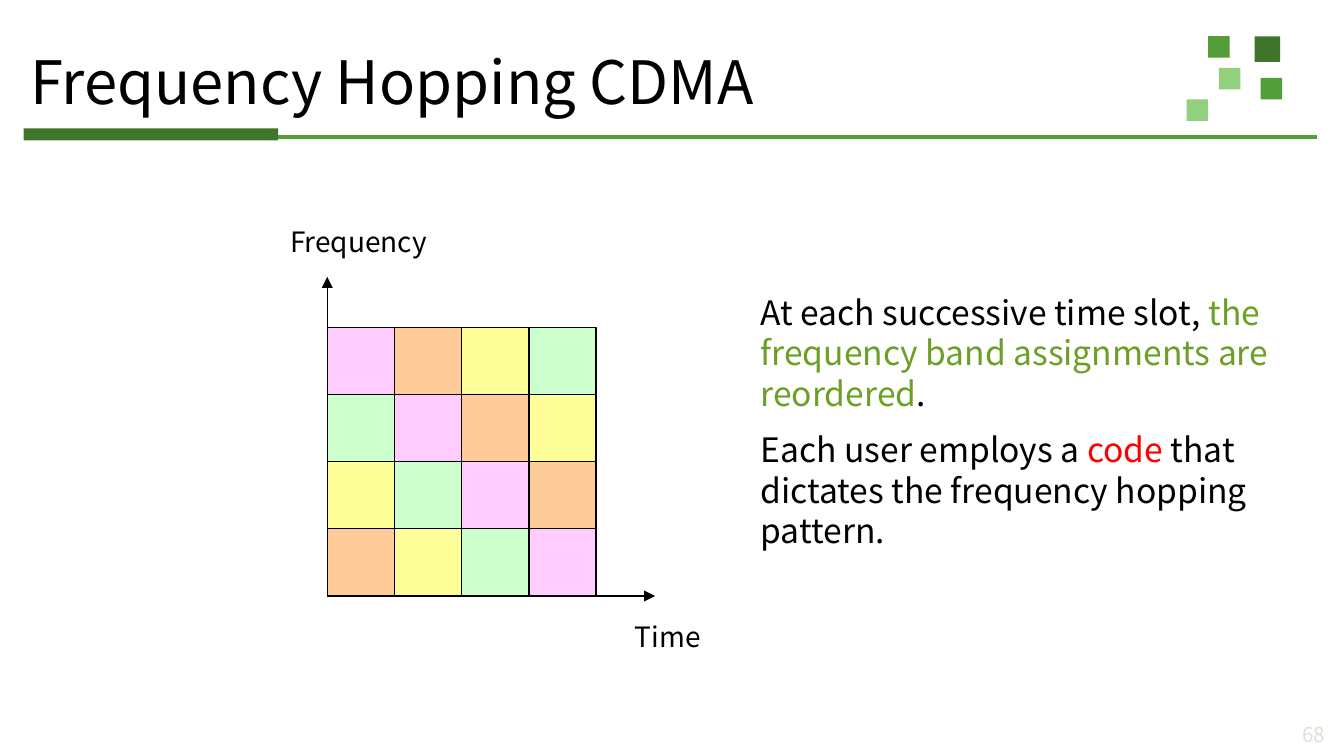
from dataclasses import dataclass

from lxml.etree import SubElement
from pptx import Presentation
from pptx.dml.color import RGBColor as Rgb
from pptx.enum.shapes import MSO_CONNECTOR as Conn, MSO_SHAPE as Shape
from pptx.enum.text import MSO_ANCHOR as Anchor, MSO_AUTO_SIZE as Auto, PP_ALIGN as Align
from pptx.oxml.ns import qn
from pptx.util import Pt

PX = 4572  # EMU, 200 px to the inch


@dataclass(frozen=True)
class Theme:
    font: str = "Noto Sans CJK SC"
    ink: str = "000000"
    dark: str = "3F762B"
    mid: str = "549E39"
    pale: str = "93D07D"
    leaf: str = "6B9F25"
    red: str = "FF0000"
    faint: str = "E3DED1"
    users: tuple = ("FFCCFF", "FFCC99", "FFFF99", "CCFFCC")
    title: int = 32
    body: int = 18
    label: int = 15
    small: int = 11


class Deck:
    def __init__(self, theme, wide, high):
        self.theme = theme
        self.file = Presentation()
        self.file.slide_width, self.file.slide_height = wide * PX, high * PX
        self.slide = self.file.slides.add_slide(self.file.slide_layouts[1])
        self.shapes = self.slide.shapes

    def place(self, item, x, y, w, h):
        item.left, item.top, item.width, item.height = (n * PX for n in (x, y, w, h))

    def style(self, run, size, color):
        run.font.name, run.font.size = self.theme.font, Pt(size)
        run.font.color.rgb = Rgb.from_string(color)

    def rect(self, x, y, w, h, fill, line=None):
        box = self.shapes.add_shape(Shape.RECTANGLE, *(n * PX for n in (x, y, w, h)))
        box.shadow.inherit = False
        box.fill.solid()
        box.fill.fore_color.rgb = Rgb.from_string(fill)
        if line:
            box.line.color.rgb = Rgb.from_string(line)
            box.line.width = Pt(0.75)
        else:
            box.line.fill.background()

    def line(self, x, y, x2, y2, color, width, arrow=False):
        link = self.shapes.add_connector(Conn.STRAIGHT, *(n * PX for n in (x, y, x2, y2)))
        link.line.color.rgb = Rgb.from_string(color)
        link.line.width = Pt(width)
        if arrow:
            SubElement(link.line._get_or_add_ln(), qn("a:tailEnd"), type="triangle")
        SubElement(link._element.spPr, qn("a:effectLst"))

    def title(self, text, *at):
        item = self.shapes.title
        self.place(item, *at)
        frame = item.text_frame
        frame.text = text
        frame.auto_size, frame.vertical_anchor = Auto.NONE, Anchor.MIDDLE
        frame.margin_left = frame.margin_right = 15 * PX
        frame.margin_top = frame.margin_bottom = 8 * PX
        para = frame.paragraphs[0]
        para.alignment, para.line_spacing = Align.LEFT, 0.9
        self.style(para.runs[0], self.theme.title, self.theme.ink)

    def body(self, paras, *at):
        """Fill the body placeholder; each paragraph is a list of (text, color)."""
        item = self.slide.placeholders[1]
        self.place(item, *at)
        frame = item.text_frame
        frame.auto_size = Auto.NONE
        for i, parts in enumerate(paras):
            para = frame.add_paragraph() if i else frame.paragraphs[0]
            props = para._p.get_or_add_pPr()
            props.set("marL", "0")
            props.set("indent", "0")
            SubElement(props, qn("a:buNone"))
            para.line_spacing = Pt(21.7)
            para.space_before = Pt(8.5 if i else 0)
            for text, color in parts:
                run = para.add_run()
                run.text = text
                self.style(run, self.theme.body, color)

    def label(self, text, x, y, w, h, size, color, align=Align.LEFT):
        frame = self.shapes.add_textbox(*(n * PX for n in (x, y, w, h))).text_frame
        frame.word_wrap = True
        frame.text = text
        para = frame.paragraphs[0]
        para.alignment, para.line_spacing = align, Pt(round(size * 1.2))
        self.style(para.runs[0], size, color)


def main():
    look = Theme()
    deck = Deck(look, 2000, 1125)

    for x, y, side, fill in (
        (1867, 54, 38, look.dark),
        (1798, 54, 32, look.mid),
        (1876, 116, 32, look.mid),
        (1814, 101, 32, look.pale),
        (1766, 148, 32, look.pale),
    ):
        deck.rect(x, y, side, side, fill)
    deck.rect(35, 191, 379, 18, look.dark)
    deck.line(414, 204, 1960, 204, look.mid, 2)
    deck.title("Frequency Hopping CDMA", 30, 56, 1926, 142)

    left, top, cell = 487, 487, 100
    count = len(look.users)
    base = top + count * cell
    deck.line(left, base, left, 412, look.ink, 0.75, arrow=True)
    deck.line(left, base, 975, base, look.ink, 0.75, arrow=True)
    for row in range(count):
        for col in range(count):
            user = look.users[(col - row) % count]
            deck.rect(left + col * cell, top + row * cell, cell, cell, user, look.ink)
    deck.label("Frequency", 412, 324, 274, 70, look.label, look.ink)
    deck.label("Time", 925, 912, 238, 70, look.label, look.ink)

    deck.body(
        [
            [
                ("At each successive time slot, ", look.ink),
                ("the frequency band assignments are reordered", look.leaf),
                (".", look.ink),
            ],
            [
                ("Each user employs a ", look.ink),
                ("code", look.red),
                (" that dictates the frequency hopping pattern.", look.ink),
            ],
        ],
        1112, 424, 858, 414,
    )
    deck.label("68", 1872, 1065, 120, 50, look.small, look.faint, Align.RIGHT)
    deck.file.save("out.pptx")


if __name__ == "__main__":
    main()
